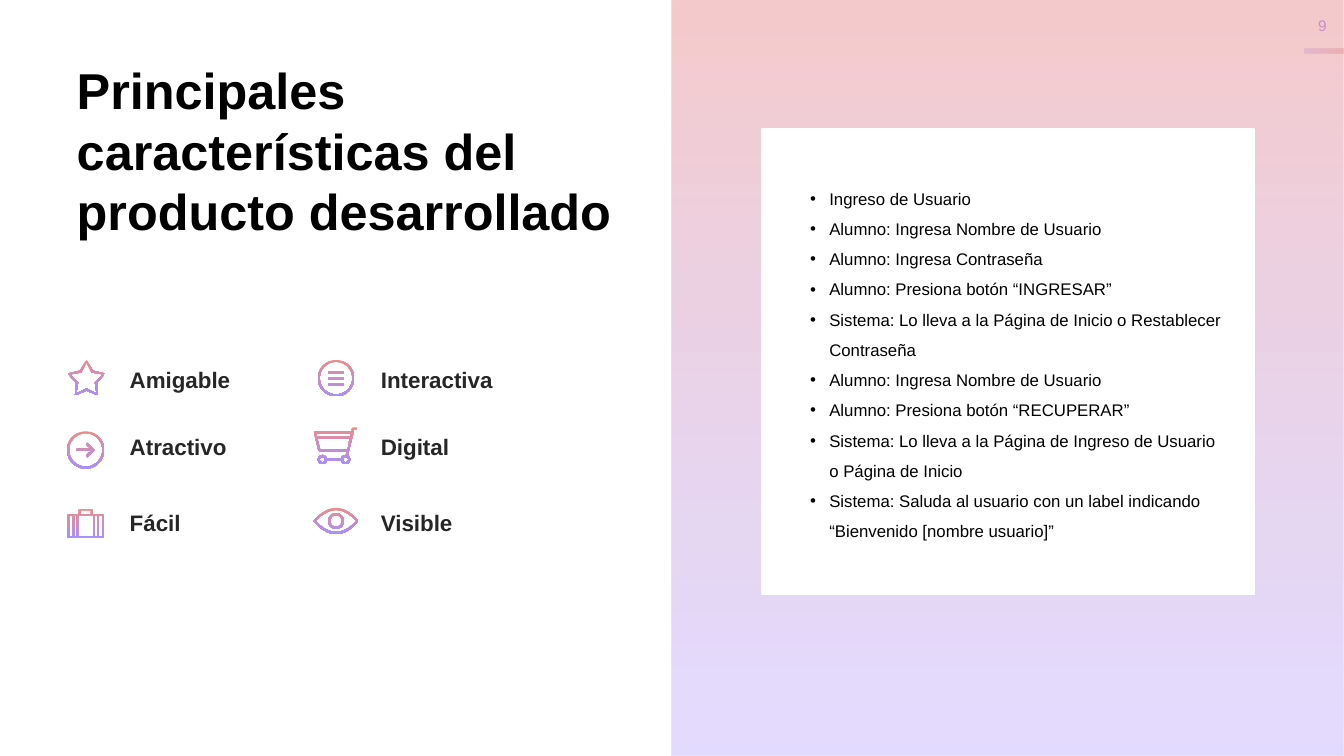
from math import cos, pi, sin

from lxml import etree
from pptx import Presentation
from pptx.dml.color import RGBColor
from pptx.enum.shapes import MSO_SHAPE
from pptx.enum.text import MSO_ANCHOR, MSO_AUTO_SIZE, PP_ALIGN
from pptx.oxml.ns import qn
from pptx.util import Cm, Pt

RECTANGLE = MSO_SHAPE.RECTANGLE
TOP, MIDDLE = MSO_ANCHOR.TOP, MSO_ANCHOR.MIDDLE
LEFT, CENTER = PP_ALIGN.LEFT, PP_ALIGN.CENTER
NO_AUTOFIT = MSO_AUTO_SIZE.NONE

FONT = "Arial"
COLORS = {
    "pink": "EA8D8D",
    "violet": "A890FE",
    "black": "000000",
    "label": "262626",
    "white": "FFFFFF",
}
UNITS_PER_MM = 100

TITLE = "Principales características del producto desarrollado"
STEPS = [
    "Ingreso de Usuario",
    "Alumno: Ingresa Nombre de Usuario",
    "Alumno: Ingresa Contraseña",
    "Alumno: Presiona botón “INGRESAR”",
    "Sistema: Lo lleva a la Página de Inicio o Restablecer Contraseña",
    "Alumno: Ingresa Nombre de Usuario",
    "Alumno: Presiona botón “RECUPERAR”",
    "Sistema: Lo lleva a la Página de Ingreso de Usuario o Página de Inicio",
    "Sistema: Saluda al usuario con un label indicando “Bienvenido [nombre usuario]”",
]
LABEL_COLUMNS = [3.02, 9.35]
LABEL_ROWS = [9.09, 10.8, 12.7]
LABELS = [
    ["Amigable", "Interactiva"],
    ["Atractivo", "Digital"],
    ["Fácil", "Visible"],
]


def box(left, top, width, height):
    return [[left, top], [left + width, top],
            [left + width, top + height], [left, top + height]]


def oval(x, y, radius_x, radius_y, power=1):
    """Ellipse outline; a power of 2 gives a pointed lens."""
    angles = [2 * pi * step / 48 for step in range(48)]
    return [[x + radius_x * cos(angle),
             y + radius_y * sin(angle) * abs(sin(angle)) ** (power - 1)]
            for angle in angles]


def ring(x, y, outer, inner):
    return [oval(x, y, outer, outer), oval(x, y, inner, inner)]


def star(x, y, tip, notch):
    radii = [tip, notch] * 5
    return [[x + radius * sin(pi * step / 5), y - radius * cos(pi * step / 5)]
            for step, radius in enumerate(radii)]


# Each icon: left and top in cm, then its outlines in mm from that corner.
ICONS = {
    "star": (1.71, 9.07, [star(4.7, 4.95, 4.95, 2.8), star(4.7, 4.95, 4.3, 2.2)]),
    "arrow": (1.69, 10.87, ring(4.7, 4.7, 4.7, 4.2) + [
        [[6.9, 4.7], [5.2, 6.5], [4.8, 6.1], [6, 4.95], [2.4, 4.95],
         [2.4, 4.45], [6, 4.45], [4.8, 3.3], [5.2, 2.9]]]),
    "suitcase": (1.7, 12.82, [
        [[0, 1.4], [2.8, 1.4], [2.8, 0], [6.4, 0], [6.4, 1.4],
         [9.3, 1.4], [9.3, 7.4], [0, 7.4]],
        box(3.3, 0.4, 2.6, 1)]
        + [box(left, 1.8, width, 5.1) for left, width in
           [(0.45, 0.9), (1.8, 0.6), (2.85, 3.6), (6.9, 0.6), (7.95, 0.9)]]),
    "list": (8.01, 9.07, ring(4.6, 4.6, 4.6, 4.1)
             + [box(2.6, middle - 0.25, 4, 0.5) for middle in (3.1, 4.6, 6.1)]),
    "cart": (7.92, 10.77, [
        [[10.9, 0], [9.7, 0], [9.4, 0.3], [9.4, 1], [0, 1], [0, 1.5],
         [1, 5.7], [1.4, 6.1], [8.4, 6.1], [8, 6.9], [8.5, 6.9],
         [9.9, 1.4], [9.9, 0.5], [10.9, 0.5]],
        [[0.5, 1.5], [9.2, 1.5], [9, 2.3], [0.7, 2.3]],
        [[0.8, 2.8], [8.9, 2.8], [8.4, 5.6], [1.5, 5.6]],
        box(3.2, 7.85, 3.55, 0.5)]
        + ring(2.05, 8.1, 1.15, 0.65) + ring(7.9, 8.1, 1.15, 0.65)),
    "eye": (7.9, 12.8, [oval(5.7, 3.3, 5.7, 3.3, 2), oval(5.7, 3.3, 5.1, 2.75, 2)]
            + ring(5.7, 3.3, 2, 1.45)),
}


def color(name):
    return RGBColor.from_string(COLORS[name])


def fill_gradient(shape, opacities=()):
    """Pink to violet from the top down, with opacities in percent."""
    shape.shadow.inherit = False
    shape.line.fill.background()
    shape.fill.gradient()
    shape.fill.gradient_angle = 270
    stops = shape.fill.gradient_stops
    for stop, name, position in zip(stops, ["pink", "violet"], [0, 0.99]):
        stop.color.rgb = color(name)
        stop.position = position
    rgb_elements = shape.element.spPr.iter(qn("a:srgbClr"))
    for element, opacity in zip(rgb_elements, opacities):
        etree.SubElement(element, qn("a:alpha"), val=str(opacity * 1000))


def add_rectangle(slide, left, top, width, height):
    return slide.shapes.add_shape(
        RECTANGLE, Cm(left), Cm(top), Cm(width), Cm(height))


def add_icon(slide, left, top, outlines):
    scaled = [[(x * UNITS_PER_MM, y * UNITS_PER_MM) for x, y in outline]
              for outline in outlines]
    builder = slide.shapes.build_freeform(
        *scaled[0][0], scale=Cm(0.1) / UNITS_PER_MM)
    for number, points in enumerate(scaled):
        if number:
            builder.move_to(*points[0])
        builder.add_line_segments(points[1:], close=True)
    fill_gradient(builder.convert_to_shape(Cm(left), Cm(top)))


def format_text(text_frame, size, color_name, bold=False):
    for paragraph in text_frame.paragraphs:
        for run in paragraph.runs:
            run.font.name = FONT
            run.font.size = Pt(size)
            run.font.bold = bold
            run.font.color.rgb = color(color_name)


def add_text(slide, left, top, width, height, text, size, color_name, bold=False):
    text_box = slide.shapes.add_textbox(Cm(left), Cm(top), Cm(width), Cm(height))
    text_frame = text_box.text_frame
    text_frame.word_wrap = True
    text_frame.text = text
    format_text(text_frame, size, color_name, bold)
    return text_frame


def set_title(slide):
    title = slide.shapes.title
    title.left, title.top, title.width, title.height = (
        Cm(1.68), Cm(1.37), Cm(14.71), Cm(4.88))
    text_frame = title.text_frame
    text_frame.text = TITLE
    text_frame.auto_size = NO_AUTOFIT
    text_frame.vertical_anchor = TOP
    text_frame.paragraphs[0].alignment = LEFT
    format_text(text_frame, 36, "black", bold=True)


def add_page_number(slide):
    text_frame = add_text(slide, 32.44, 0.18, 1.78, 0.91, "9", 11, "violet")
    text_frame.word_wrap = False
    text_frame.vertical_anchor = MIDDLE
    paragraph = text_frame.paragraphs[0]
    paragraph.alignment = CENTER
    paragraph.runs[0].font._element.set("spc", "300")
    marker = add_rectangle(slide, 33.3, 0.79, 0.13, 0.99)
    marker.rotation = 90
    fill_gradient(marker, [46, 32])


def add_steps(slide):
    card = add_rectangle(slide, 19.2, 3.25, 12.4, 11.73)
    card.shadow.inherit = False
    card.fill.solid()
    card.fill.fore_color.rgb = color("white")
    card.line.color.rgb = color("white")
    card.line.width = Pt(1)
    text_frame = add_text(
        slide, 20.17, 4.37, 10.92, 9.5, "\n".join(STEPS), 12, "black")
    indent = Cm(0.48)
    for paragraph in text_frame.paragraphs:
        paragraph.line_spacing = 1.5
        properties = paragraph._p.get_or_add_pPr()
        properties.set("marL", str(indent))
        properties.set("indent", str(-indent))
        etree.SubElement(properties, qn("a:buFont"), typeface=FONT)
        etree.SubElement(properties, qn("a:buChar"), char="•")


def main():
    presentation = Presentation()
    presentation.slide_width = Cm(33.87)
    presentation.slide_height = Cm(19.05)
    slide = presentation.slides.add_slide(presentation.slide_layouts[5])
    set_title(slide)
    add_page_number(slide)
    fill_gradient(add_rectangle(slide, 16.93, 0, 16.94, 19.05), [46, 32])
    for left, top, outlines in ICONS.values():
        add_icon(slide, left, top, outlines)
    for top, row in zip(LABEL_ROWS, LABELS):
        for left, label in zip(LABEL_COLUMNS, row):
            add_text(slide, left, top, 3.48, 0.94, label, 16, "label", bold=True)
    add_steps(slide)
    presentation.save("out.pptx")


if __name__ == "__main__":
    main()
